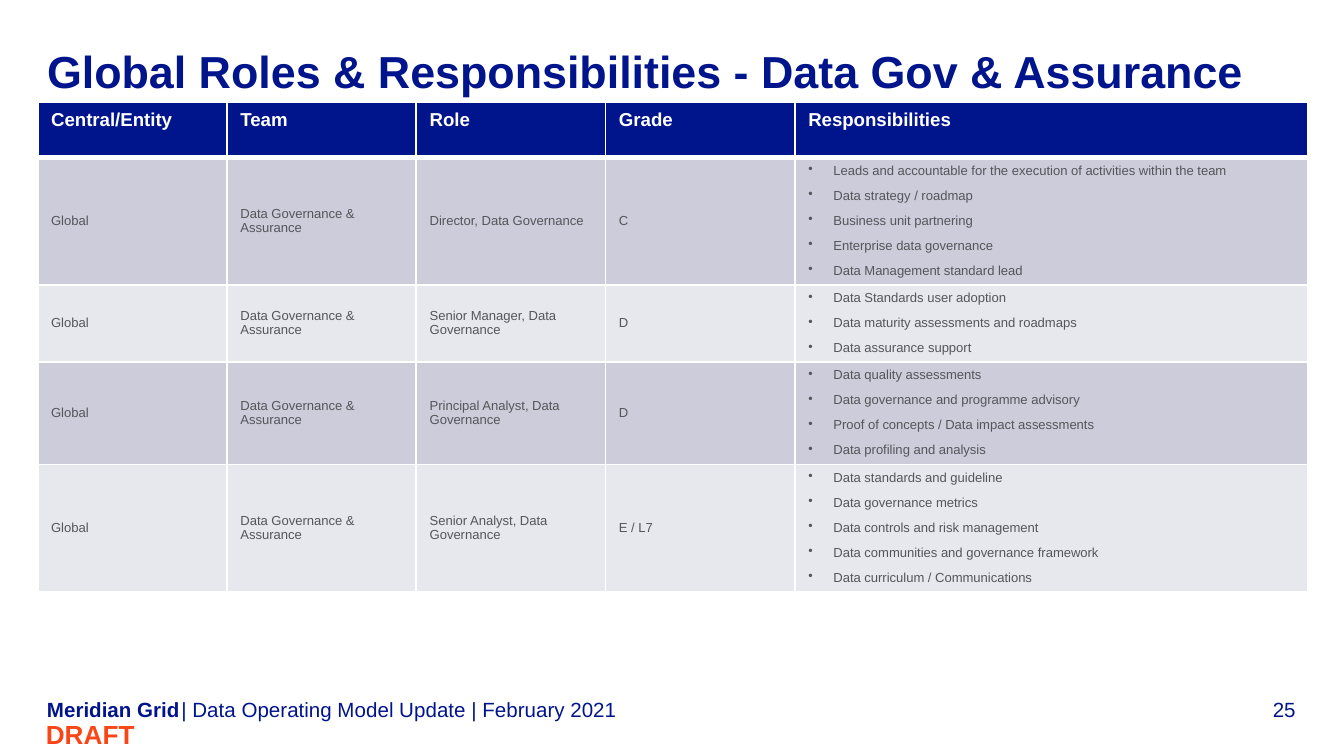
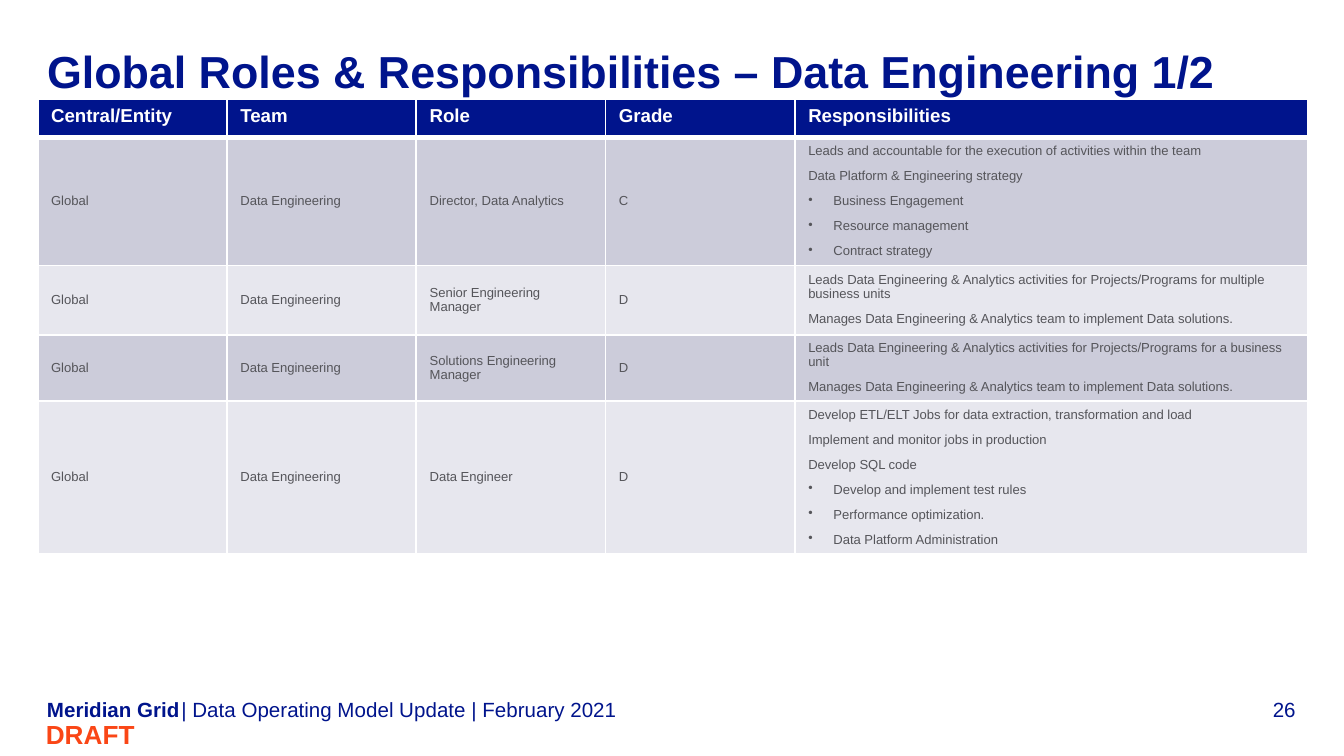
"""Builds two slides of global data roles and responsibilities."""
import lxml.etree
import pptx
import pptx.dml.color
import pptx.enum.text
import pptx.oxml
import pptx.oxml.ns
import pptx.util

Pt = pptx.util.Pt
RGB = pptx.dml.color.RGBColor.from_string
ALIGN = pptx.enum.text.PP_ALIGN
ANCHOR = pptx.enum.text.MSO_ANCHOR
NO_FIT = pptx.enum.text.MSO_AUTO_SIZE.NONE

THEME = {
    "navy": "00148C", "orange": "FA4616", "grey": "55555A", "white": "FFFFFF",
    "bands": ("CCCCDA", "E7E7EE"), "font": "Arial",
    "title": 24, "draft": 14, "footer": 11, "header": 10, "body": 7,
}
NO_INSETS = dict(margin_left=0, margin_top=0, margin_right=0, margin_bottom=0)
DRAFT_INSETS = dict(margin_left=Pt(7.2), margin_top=Pt(3.6),
                    margin_right=Pt(7.2), margin_bottom=Pt(3.6))


def write(frame, lines, size, color, bold=False, bullets=(), **layout):
    """Fill a text frame with plain lines followed by bulleted ones."""
    for index, text in enumerate([*lines, *bullets]):
        paragraph = frame.paragraphs[0] if index == 0 else frame.add_paragraph()
        if index >= len(lines):
            properties = paragraph._p.get_or_add_pPr()
            properties.set("marL", str(Pt(13.5)))
            properties.set("indent", str(-Pt(13.5)))
            tint = lxml.etree.SubElement(properties, pptx.oxml.ns.qn("a:buClr"))
            lxml.etree.SubElement(tint, pptx.oxml.ns.qn("a:srgbClr"), val=THEME[color])
            lxml.etree.SubElement(properties, pptx.oxml.ns.qn("a:buChar"), char="•")
        for name, value in layout.items():
            setattr(paragraph, name, value)
        run = paragraph.add_run()
        run.text = text
        for name, value in dict(name=THEME["font"], size=Pt(THEME[size]), bold=bold).items():
            setattr(run.font, name, value)
        run.font.color.rgb = RGB(THEME[color])


def style_cell(cell, fill, edges):
    """Give a cell its white edges and its fill."""
    for side, width in edges.items():
        cell._tc.get_or_add_tcPr().append(pptx.oxml.parse_xml(
            f'<a:ln{side} {pptx.oxml.ns.nsdecls("a")} w="{Pt(width)}"><a:solidFill>'
            f'<a:srgbClr val="{THEME["white"]}"/></a:solidFill></a:ln{side}>'))
    cell.fill.solid()
    cell.fill.fore_color.rgb = RGB(fill)


HEADINGS = ["Central/Entity", "Team", "Role", "Grade", "Responsibilities"]
COLUMN_WIDTHS = [101.4] * 4 + [275]

PAGES = [
    dict(
        number="25", title="Global Roles & Responsibilities - Data Gov & Assurance",
        title_width=690.5, team="Data Governance & Assurance",
        top=55, height=278.6, row_heights=[29.3] * 5,
        roles=[
            ("Director, Data Governance", "C", [], [
                "Leads and accountable for the execution of activities within the team",
                "Data strategy / roadmap",
                "Business unit partnering",
                "Enterprise data governance",
                "Data Management standard lead"]),
            ("Senior Manager, Data Governance", "D", [], [
                "Data Standards user adoption",
                "Data maturity assessments and roadmaps",
                "Data assurance support"]),
            ("Principal Analyst, Data Governance", "D", [], [
                "Data quality assessments",
                "Data governance and programme advisory",
                "Proof of concepts / Data impact assessments",
                "Data profiling and analysis"]),
            ("Senior Analyst, Data Governance", "E / L7", [], [
                "Data standards and guideline",
                "Data governance metrics",
                "Data controls and risk management",
                "Data communities and governance framework",
                "Data curriculum / Communications"]),
        ]),
    dict(
        number="26", title="Global Roles & Responsibilities – Data Engineering 1/2",
        title_width=669, team="Data Engineering",
        top=53.2, height=258.5, row_heights=[20.7, 31, 37.4, 24.5, 53.3],
        roles=[
            ("Director, Data Analytics", "C", [
                "Leads and accountable for the execution of activities within the team",
                "Data Platform & Engineering strategy"], [
                "Business Engagement",
                "Resource management",
                "Contract strategy"]),
            ("Senior Engineering Manager", "D", [
                "Leads Data Engineering & Analytics activities for Projects/Programs"
                " for multiple business units",
                "Manages Data Engineering & Analytics team to implement Data solutions."], []),
            ("Solutions Engineering Manager", "D", [
                "Leads Data Engineering & Analytics activities for Projects/Programs"
                " for a business unit",
                "Manages Data Engineering & Analytics team to implement Data solutions."], []),
            ("Data Engineer", "D", [
                "Develop ETL/ELT Jobs for data extraction, transformation and load",
                "Implement and monitor jobs in production",
                "Develop SQL code"], [
                "Develop and implement test rules",
                "Performance optimization.",
                "Data Platform Administration"]),
        ]),
]

deck = pptx.Presentation()
deck.slide_width, deck.slide_height = Pt(720), Pt(405)

for page in PAGES:
    slide = deck.slides.add_slide(deck.slide_layouts[5])

    title = slide.shapes.title
    for name, value in dict(left=25.2, top=20.9, width=page["title_width"], height=33.8).items():
        setattr(title, name, Pt(value))
    for name, value in dict(NO_INSETS, word_wrap=True, auto_size=NO_FIT,
                            vertical_anchor=ANCHOR.MIDDLE).items():
        setattr(title.text_frame, name, value)
    write(title.text_frame, [page["title"]], "title", "navy", True, alignment=ALIGN.LEFT)

    roles_frame = slide.shapes.add_table(
        len(page["row_heights"]), len(HEADINGS), Pt(20.2), Pt(page["top"]),
        Pt(sum(COLUMN_WIDTHS)), Pt(page["height"]))
    roles_table = roles_frame.table
    for column, width in zip(roles_table.columns, COLUMN_WIDTHS):
        column.width = Pt(width)
    for row, height in zip(roles_table.rows, page["row_heights"]):
        row.height = Pt(height)
    roles_frame.height = Pt(page["height"])

    for cell, heading in zip(roles_table.rows[0].cells, HEADINGS):
        style_cell(cell, THEME["navy"], dict(L=1, R=1, T=1, B=3))
        write(cell.text_frame, [heading], "header", "white", True, space_after=Pt(6))

    for index, (role, grade, duties, bullets) in enumerate(page["roles"]):
        entries = [["Global"], [page["team"]], [role], [grade], duties]
        edges = dict(L=1, R=1, T=1 if index else 3, B=1)
        for column, lines in enumerate(entries):
            cell = roles_table.cell(index + 1, column)
            style_cell(cell, THEME["bands"][index % 2], edges)
            cell.vertical_anchor = ANCHOR.MIDDLE
            write(cell.text_frame, lines, "body", "grey",
                  bullets=bullets if lines is duties else (),
                  space_after=Pt(6), line_spacing=0.95)

    footers = [
        (page["number"], (652.3, 373, 41.8, 13.7), "footer", "navy", False,
         ALIGN.RIGHT, 0, ANCHOR.BOTTOM, NO_INSETS),
        ("Meridian Grid", (25.2, 373, 72, 13.7), "footer", "navy", True,
         ALIGN.LEFT, 0, ANCHOR.BOTTOM, NO_INSETS),
        ("| Data Operating Model Update | February 2021", (97.2, 373, 566.6, 13.7),
         "footer", "navy", False, ALIGN.LEFT, 6, ANCHOR.BOTTOM, NO_INSETS),
        ("DRAFT", (1.4, 381.6, 77.8, 23.4), "draft", "orange", True,
         ALIGN.RIGHT, 4.5, ANCHOR.MIDDLE, DRAFT_INSETS),
    ]
    for text, place, size, color, bold, alignment, after, anchor, insets in footers:
        footer = slide.shapes.add_textbox(*map(Pt, place)).text_frame
        for name, value in dict(insets, word_wrap=True, vertical_anchor=anchor).items():
            setattr(footer, name, value)
        write(footer, [text], size, color, bold, alignment=alignment, space_after=Pt(after))

deck.save("out.pptx")
